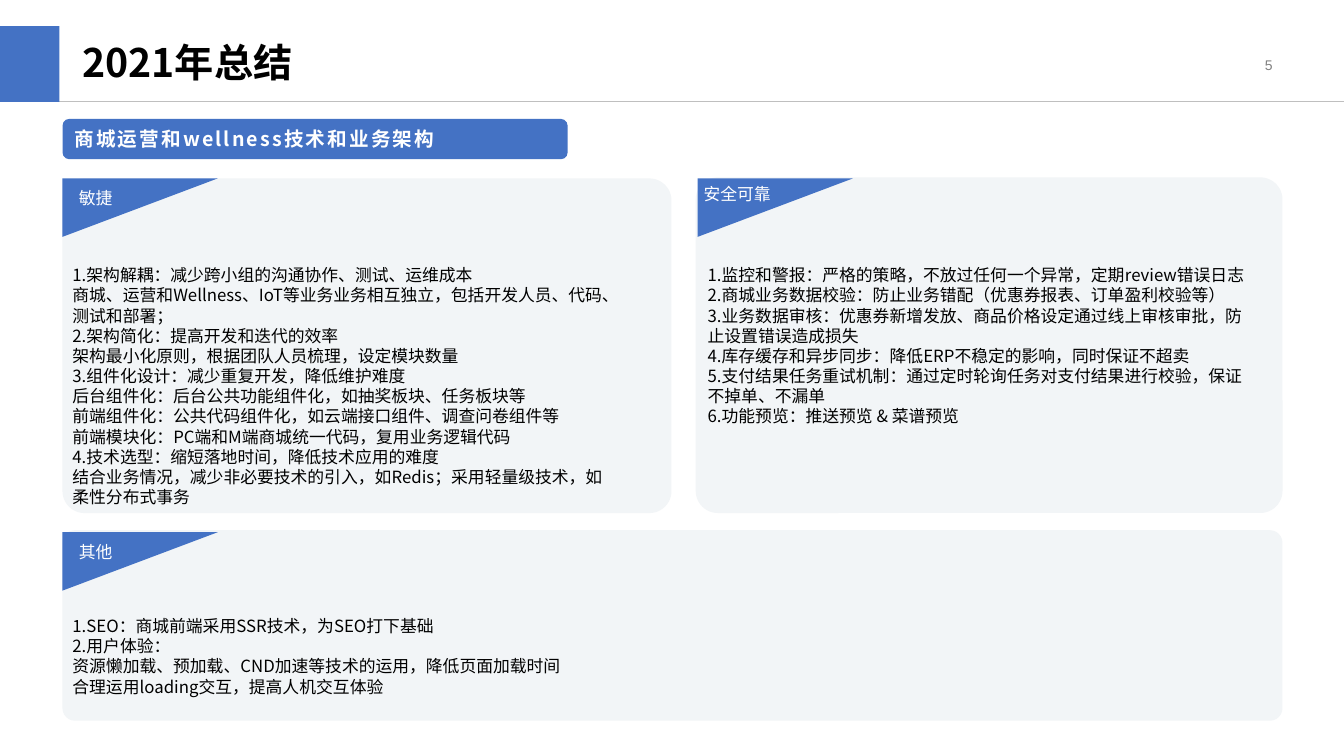
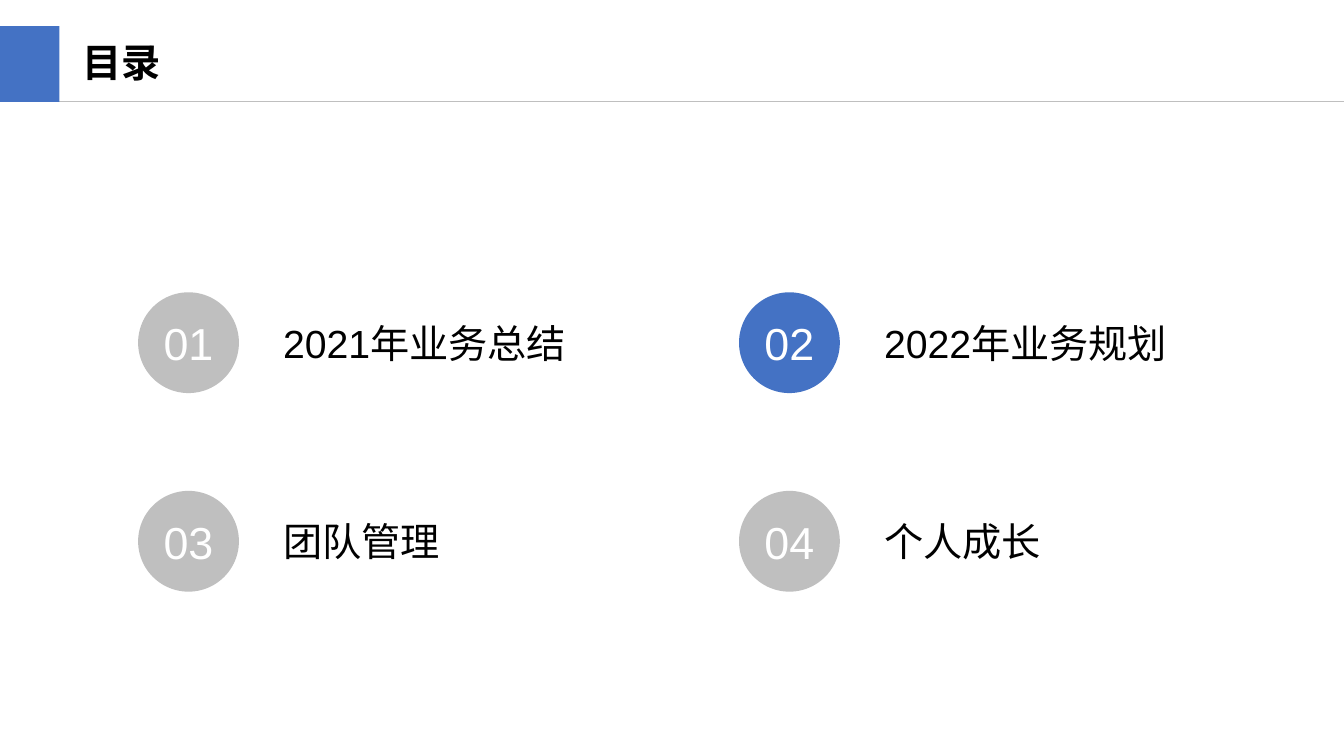
from itertools import product

from lxml import etree
from pptx import Presentation
from pptx.dml.color import RGBColor
from pptx.enum.shapes import MSO_CONNECTOR, MSO_SHAPE
from pptx.enum.text import MSO_ANCHOR, PP_ALIGN
from pptx.oxml.ns import qn
from pptx.util import Inches, Pt

BLUE = "4472C4"
GRAY = "BFBFBF"
PANEL = "F2F5F7"
WHITE = "FFFFFF"
BLACK = "000000"
NUMBER_GRAY = "808080"
LATIN_FONT = "Arial"
CHINESE_FONT = "Noto Sans CJK SC"

AGILE = [
    "1.架构解耦：减少跨小组的沟通协作、测试、运维成本",
    "商城、运营和Wellness、IoT等业务业务相互独立，包括开发人员、代码、测试和部署；",
    "2.架构简化：提高开发和迭代的效率",
    "架构最小化原则，根据团队人员梳理，设定模块数量",
    "3.组件化设计：减少重复开发，降低维护难度",
    "后台组件化：后台公共功能组件化，如抽奖板块、任务板块等",
    "前端组件化：公共代码组件化，如云端接口组件、调查问卷组件等",
    "前端模块化：PC端和M端商城统一代码，复用业务逻辑代码",
    "4.技术选型：缩短落地时间，降低技术应用的难度",
    "结合业务情况，减少非必要技术的引入，如Redis；采用轻量级技术，如柔性分布式事务",
]
RELIABLE = [
    "1.监控和警报：严格的策略，不放过任何一个异常，定期review错误日志",
    "2.商城业务数据校验：防止业务错配（优惠券报表、订单盈利校验等）",
    "3.业务数据审核：优惠券新增发放、商品价格设定通过线上审核审批，防止设置错误造成损失",
    "4.库存缓存和异步同步：降低ERP不稳定的影响，同时保证不超卖",
    "5.支付结果任务重试机制：通过定时轮询任务对支付结果进行校验，保证不掉单、不漏单",
    "6.功能预览：推送预览 & 菜谱预览",
]
OTHER = [
    "1.SEO：商城前端采用SSR技术，为SEO打下基础",
    "2.用户体验：",
    "资源懒加载、预加载、CND加速等技术的运用，降低页面加载时间",
    "合理运用loading交互，提高人机交互体验",
]
AGENDA = ["2021年业务总结", "2022年业务规划", "团队管理", "个人成长"]
CURRENT_ITEM = 2


def color(value):
    return RGBColor.from_string(value)


def write(shape, lines, size, text_color, font=LATIN_FONT, bold=False,
          align=PP_ALIGN.LEFT, anchor=MSO_ANCHOR.TOP, tracking=0):
    frame = shape.text_frame
    frame.word_wrap = True
    frame.vertical_anchor = anchor
    frame.text = "\n".join(lines)
    for paragraph in frame.paragraphs:
        paragraph.alignment = align
        paragraph.font.size = Pt(size)
        paragraph.font.bold = bold
        paragraph.font.name = font
        paragraph.font.color.rgb = color(text_color)
        properties = paragraph._p.pPr.find(qn("a:defRPr"))
        properties.set("spc", str(round(tracking * 100)))
        etree.SubElement(properties, qn("a:ea"), typeface=CHINESE_FONT)
    return frame


def add_text(slide, box, lines, size, text_color, **style):
    shape = slide.shapes.add_textbox(*map(Inches, box))
    return write(shape, lines, size, text_color, **style)


def add_block(slide, kind, box, fill, corner=None):
    shape = slide.shapes.add_shape(kind, *map(Inches, box))
    shape.shadow.inherit = False
    shape.fill.solid()
    shape.fill.fore_color.rgb = color(fill)
    shape.line.fill.background()
    if corner is not None:
        shape.adjustments[0] = corner
    return shape


def add_header(slide, title):
    line = slide.shapes.add_connector(
        MSO_CONNECTOR.STRAIGHT, 0, Inches(1.01), Inches(13.33), Inches(1.01))
    line.line.color.rgb = color(GRAY)
    line.line.width = Pt(0.5)
    etree.SubElement(line._element.spPr, qn("a:effectLst"))
    add_block(slide, MSO_SHAPE.RECTANGLE, (0, 0.26, 0.59, 0.75), BLUE)
    frame = add_text(slide, (0.72, 0.38, 7.94, 0.52), [title], 28, BLACK,
                     font=CHINESE_FONT, bold=True)
    frame.paragraphs[0].line_spacing = 0.9


def add_panel(slide, panel_box, text_box, lines):
    add_block(slide, MSO_SHAPE.ROUNDED_RECTANGLE, panel_box, PANEL, corner=0.066)
    add_text(slide, text_box, lines, 12, BLACK, font=CHINESE_FONT)


def add_corner_label(slide, left, top, label, label_box, align):
    triangle = add_block(slide, MSO_SHAPE.RIGHT_TRIANGLE, (left, top, 1.54, 0.58), BLUE)
    triangle._element.spPr.xfrm.set("flipV", "1")
    add_text(slide, label_box, [label], 12, WHITE, align=align)


def add_agenda_item(slide, left, top, number, label):
    fill = BLUE if number == CURRENT_ITEM else GRAY
    circle = add_block(slide, MSO_SHAPE.OVAL, (left, top, 1, 1), fill)
    write(circle, [f"{number:02}"], 32, WHITE,
          align=PP_ALIGN.CENTER, anchor=MSO_ANCHOR.MIDDLE)
    add_text(slide, (left + 1.34, top, 3.79, 1), [label], 28, BLACK,
             anchor=MSO_ANCHOR.MIDDLE)


def build_summary(slide):
    add_header(slide, "2021年总结")
    add_text(slide, (9.72, 0.44, 3, 0.4), ["5"], 10, NUMBER_GRAY,
             align=PP_ALIGN.RIGHT, anchor=MSO_ANCHOR.MIDDLE)
    banner = add_block(slide, MSO_SHAPE.ROUNDED_RECTANGLE, (0.62, 1.18, 5.01, 0.4), BLUE)
    frame = write(banner, ["商城运营和wellness技术和业务架构"], 14, WHITE,
                  font=CHINESE_FONT, bold=True, anchor=MSO_ANCHOR.MIDDLE, tracking=1.5)
    frame.paragraphs[0].space_after = Pt(4)
    add_panel(slide, (0.62, 1.77, 6.04, 3.32), (0.62, 2.58, 5.59, 2.52), AGILE)
    add_panel(slide, (6.9, 1.76, 5.82, 3.33), (6.92, 2.58, 5.61, 1.72), RELIABLE)
    add_panel(slide, (0.62, 5.26, 12.1, 1.89), (0.62, 6.06, 11.61, 0.91), OTHER)
    add_corner_label(slide, 0.62, 1.77, "敏捷", (0.61, 1.81, 0.68, 0.3), PP_ALIGN.CENTER)
    add_corner_label(slide, 0.62, 5.28, "其他", (0.61, 5.33, 0.68, 0.3), PP_ALIGN.CENTER)
    add_corner_label(slide, 6.92, 1.77, "安全可靠", (6.88, 1.77, 1.26, 0.3), PP_ALIGN.LEFT)


def build_agenda(slide):
    add_header(slide, "目录")
    positions = product((2.9, 4.87), (1.37, 7.33))
    for number, ((top, left), label) in enumerate(zip(positions, AGENDA), 1):
        add_agenda_item(slide, left, top, number, label)


def main():
    presentation = Presentation()
    presentation.slide_width = Inches(13.33)
    presentation.slide_height = Inches(7.5)
    for build in (build_summary, build_agenda):
        build(presentation.slides.add_slide(presentation.slide_layouts[6]))
    presentation.save("out.pptx")


if __name__ == "__main__":
    main()
